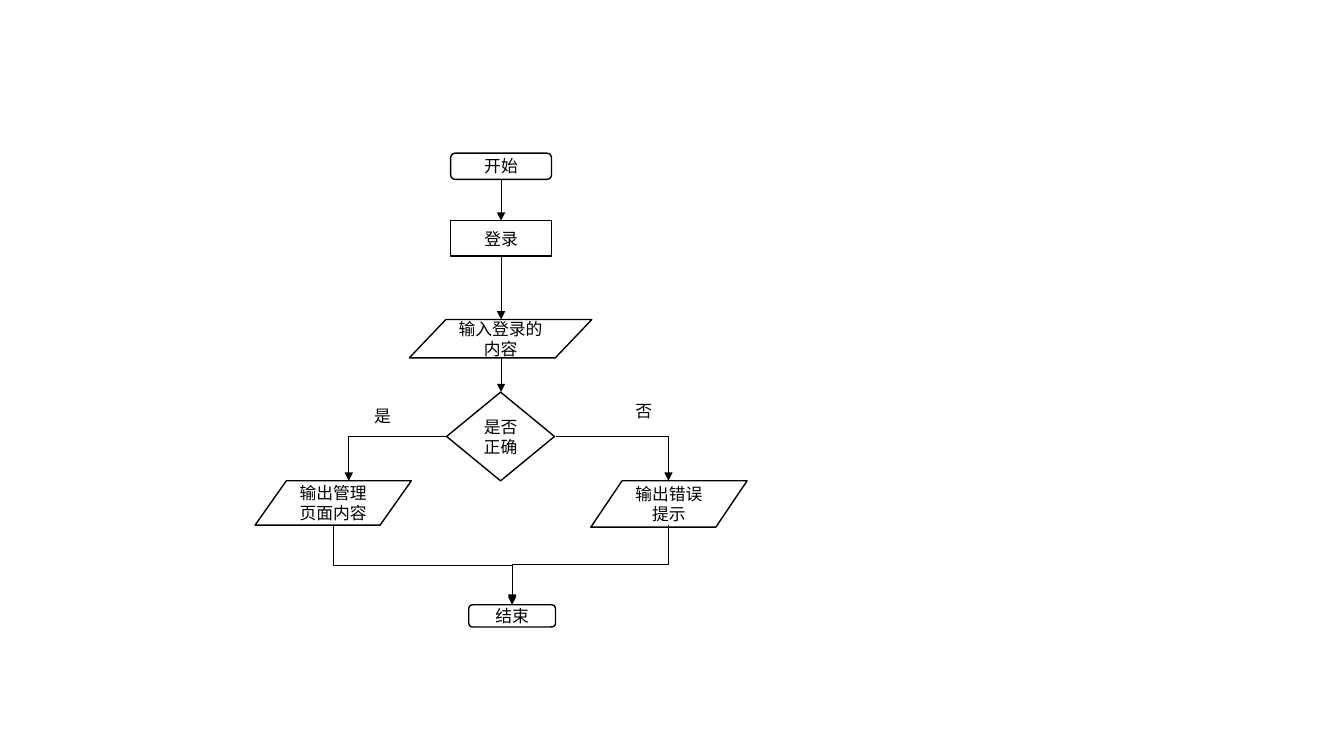
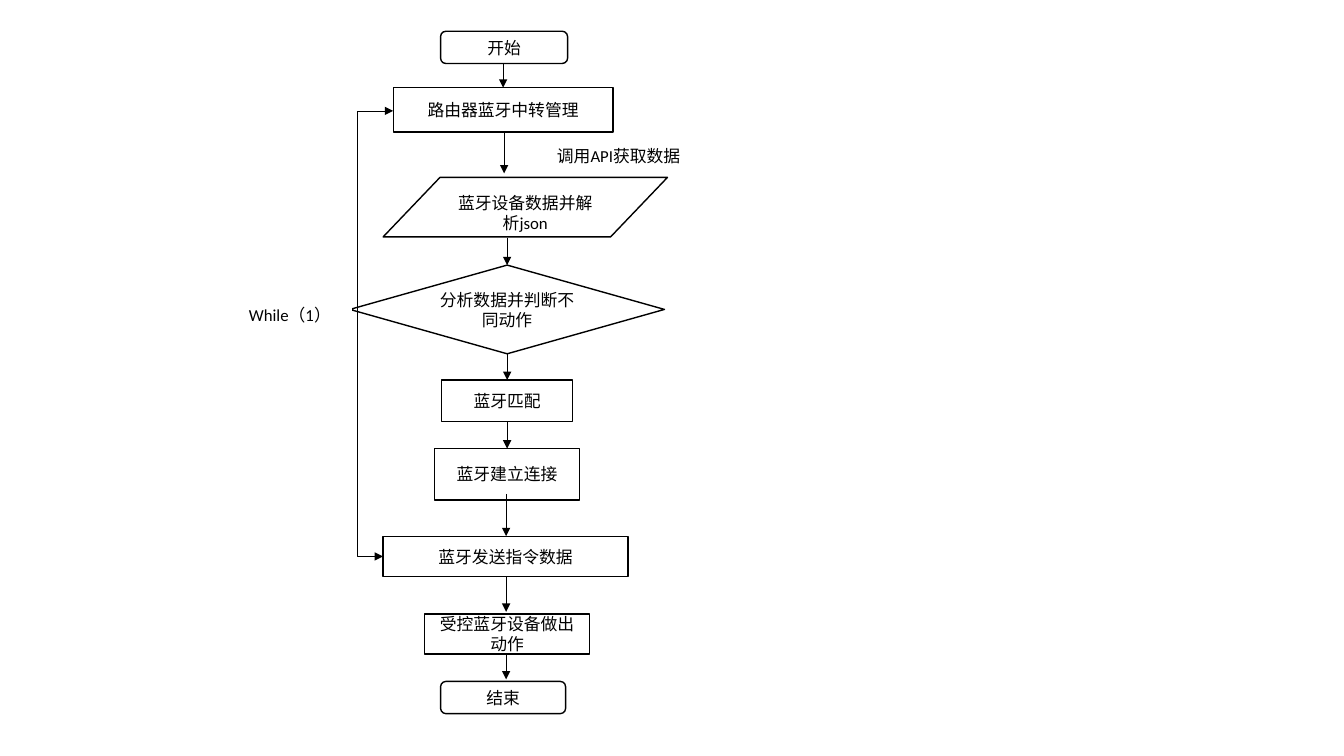
from dataclasses import dataclass

from lxml import etree
from pptx import Presentation
from pptx.dml.color import RGBColor
from pptx.enum.shapes import MSO_CONNECTOR, MSO_SHAPE
from pptx.enum.text import MSO_ANCHOR, PP_ALIGN
from pptx.oxml.ns import qn
from pptx.util import Inches, Pt

TERMINAL = MSO_SHAPE.FLOWCHART_ALTERNATE_PROCESS
PROCESS = MSO_SHAPE.RECTANGLE
DATA = MSO_SHAPE.FLOWCHART_DATA
DECISION = MSO_SHAPE.FLOWCHART_DECISION
LABEL = "label"
STRAIGHT = MSO_CONNECTOR.STRAIGHT
ELBOW = MSO_CONNECTOR.ELBOW
CENTER = PP_ALIGN.CENTER
MIDDLE = MSO_ANCHOR.MIDDLE


@dataclass(frozen=True)
class Theme:
    ink: RGBColor = RGBColor(0, 0, 0)
    paper: RGBColor = RGBColor(255, 255, 255)
    font: str = "Calibri"
    text_size: Pt = Pt(12)
    outline: Pt = Pt(1)
    arrow: Pt = Pt(0.5)


THEME = Theme()


def add_node(slide, kind, left, top, width, height, text):
    preset = PROCESS if kind == LABEL else kind
    shape = slide.shapes.add_shape(
        preset, Inches(left), Inches(top), Inches(width), Inches(height))
    shape.shadow.inherit = False
    shape.fill.solid()
    shape.fill.fore_color.rgb = THEME.paper
    shape.line.color.rgb = THEME.paper if kind == LABEL else THEME.ink
    shape.line.width = THEME.outline
    frame = shape.text_frame
    frame.word_wrap = True
    frame.vertical_anchor = MIDDLE
    paragraph = frame.paragraphs[0]
    paragraph.alignment = CENTER
    run = paragraph.add_run()
    run.text = text
    run.font.name = THEME.font
    run.font.size = THEME.text_size
    run.font.color.rgb = THEME.ink
    return shape


def add_arrow(slide, kind, start, end, ends=("tailEnd",)):
    connector = slide.shapes.add_connector(
        kind, *(Inches(value) for value in (*start, *end)))
    connector.line.color.rgb = THEME.ink
    connector.line.width = THEME.arrow
    properties = connector._element.spPr
    for name in ends:
        etree.SubElement(properties.find(qn("a:ln")), qn(f"a:{name}"), type="triangle")
    etree.SubElement(properties, qn("a:effectLst"))
    return connector


presentation = Presentation()
presentation.slide_width = Inches(13.33)
presentation.slide_height = Inches(7.5)
blank_layout = presentation.slide_layouts[6]

login_slide = presentation.slides.add_slide(blank_layout)
login_nodes = [
    (TERMINAL, 4.47, 1.52, 1, 0.26, "开始"),
    (PROCESS, 4.47, 2.19, 1, 0.35, "登录"),
    (DATA, 4.06, 3.17, 1.81, 0.38, "输入登录的内容"),
    (DECISION, 4.43, 3.89, 1.07, 0.88, "是否正确"),
    (DATA, 2.53, 4.77, 1.55, 0.44, "输出管理页面内容"),
    (DATA, 5.86, 4.77, 1.55, 0.46, "输出错误提示"),
    (TERMINAL, 4.65, 6, 0.86, 0.22, "结束"),
    (LABEL, 3.5, 3.95, 0.59, 0.35, "是"),
    (LABEL, 6.09, 3.9, 0.59, 0.35, "否"),
]
for node in login_nodes:
    add_node(login_slide, *node)

for top, bottom in [(1.78, 2.19), (2.54, 3.17), (3.55, 3.89)]:
    add_arrow(login_slide, STRAIGHT, (4.97, top), (4.97, bottom))

for start, end in [((4.43, 4.33), (3.46, 4.77)), ((5.51, 4.33), (6.63, 4.77))]:
    branch = add_arrow(login_slide, ELBOW, start, end)
    branch._element.spPr.find(qn("a:prstGeom")).set("prst", "bentConnector2")

for start, end in [((3.31, 5.21), (5.08, 6)), ((6.63, 5.21), (5.08, 5.98))]:
    merge = add_arrow(login_slide, ELBOW, start, end)
    center_x = merge.left + merge.width // 2
    center_y = merge.top + merge.height // 2
    merge.width, merge.height = merge.height, merge.width
    merge.left = center_x - merge.width // 2
    merge.top = center_y - merge.height // 2
    goes_right = start[0] < end[0]
    transform = merge._element.spPr.find(qn("a:xfrm"))
    transform.set("rot", "16200000" if goes_right else "5400000")
    transform.set("flipH", "1" if goes_right else "0")

bluetooth_slide = presentation.slides.add_slide(blank_layout)
bluetooth_nodes = [
    (TERMINAL, 4.37, 0.31, 1.26, 0.32, "开始"),
    (PROCESS, 3.9, 0.87, 2.18, 0.44, "路由器蓝牙中转管理"),
    (LABEL, 5.34, 1.39, 1.59, 0.31, "调用API获取数据"),
    (DECISION, 3.47, 2.63, 3.12, 0.88, "分析数据并判断不同动作"),
    (PROCESS, 4.38, 3.77, 1.3, 0.41, "蓝牙匹配"),
    (PROCESS, 4.31, 4.45, 1.44, 0.51, "蓝牙建立连接"),
    (PROCESS, 3.8, 5.32, 2.43, 0.4, "蓝牙发送指令数据"),
    (PROCESS, 4.21, 6.09, 1.64, 0.4, "受控蓝牙设备做出动作"),
    (TERMINAL, 4.37, 6.76, 1.24, 0.32, "结束"),
    (LABEL, 2.26, 2.92, 1.23, 0.41, "While（1）"),
]
for node in bluetooth_nodes:
    add_node(bluetooth_slide, *node)

device_data = add_node(bluetooth_slide, DATA, 3.8, 1.76, 2.82, 0.59, "蓝牙设备数据并解析json")
device_data.text_frame.margin_top = Inches(0.12)
device_data.text_frame.margin_bottom = 0

bluetooth_steps = [
    (4.99, 0.63, 0.87), (5, 1.32, 1.72), (5.03, 2.36, 2.63), (5.03, 3.5, 3.77),
    (5.03, 4.18, 4.45), (5.02, 4.9, 5.32), (5.02, 5.72, 6.07), (5.02, 6.49, 6.74),
]
for x, top, bottom in bluetooth_steps:
    add_arrow(bluetooth_slide, STRAIGHT, (x, top), (x, bottom))

loop = add_arrow(bluetooth_slide, ELBOW, (3.9, 1.1), (3.8, 5.52), ("headEnd", "tailEnd"))
loop_geometry = loop._element.spPr.find(qn("a:prstGeom"))
loop_adjustments = loop_geometry.find(qn("a:avLst"))
etree.SubElement(loop_adjustments, qn("a:gd"), name="adj1", fmla="val 350000")

presentation.save("out.pptx")
